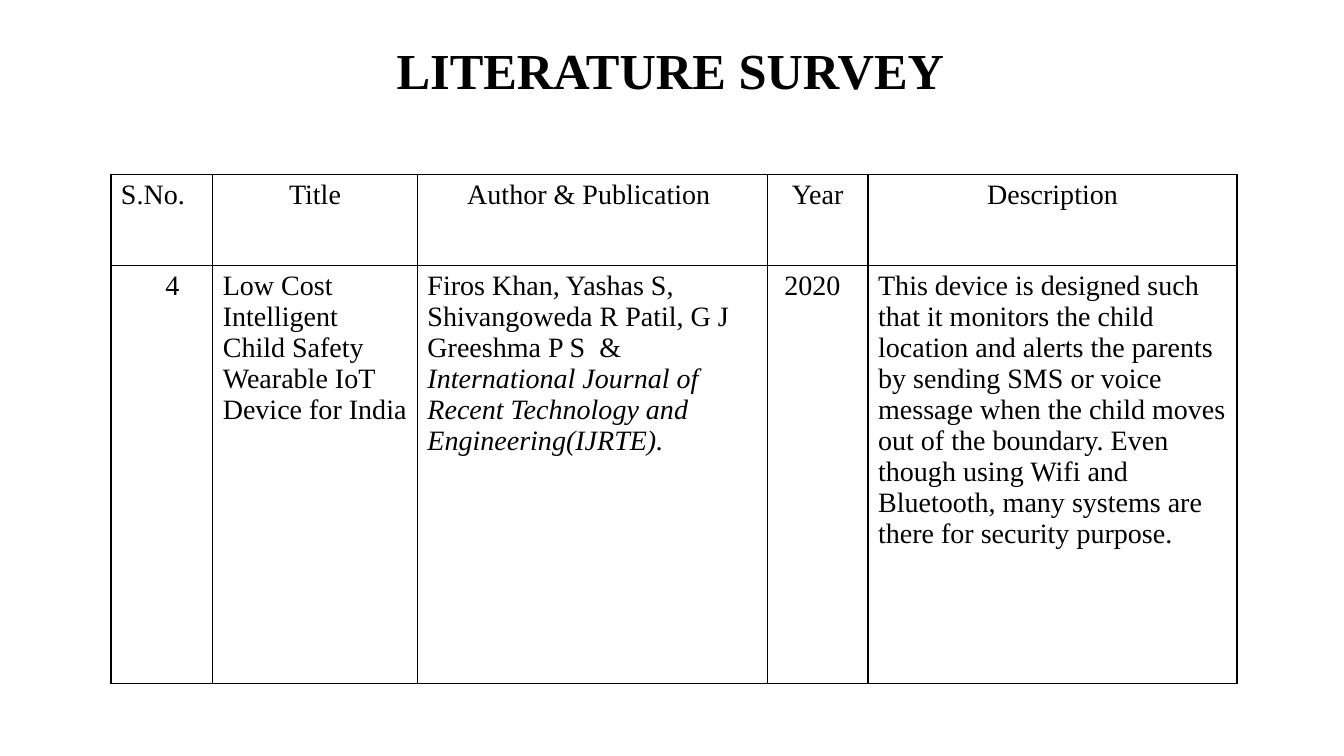
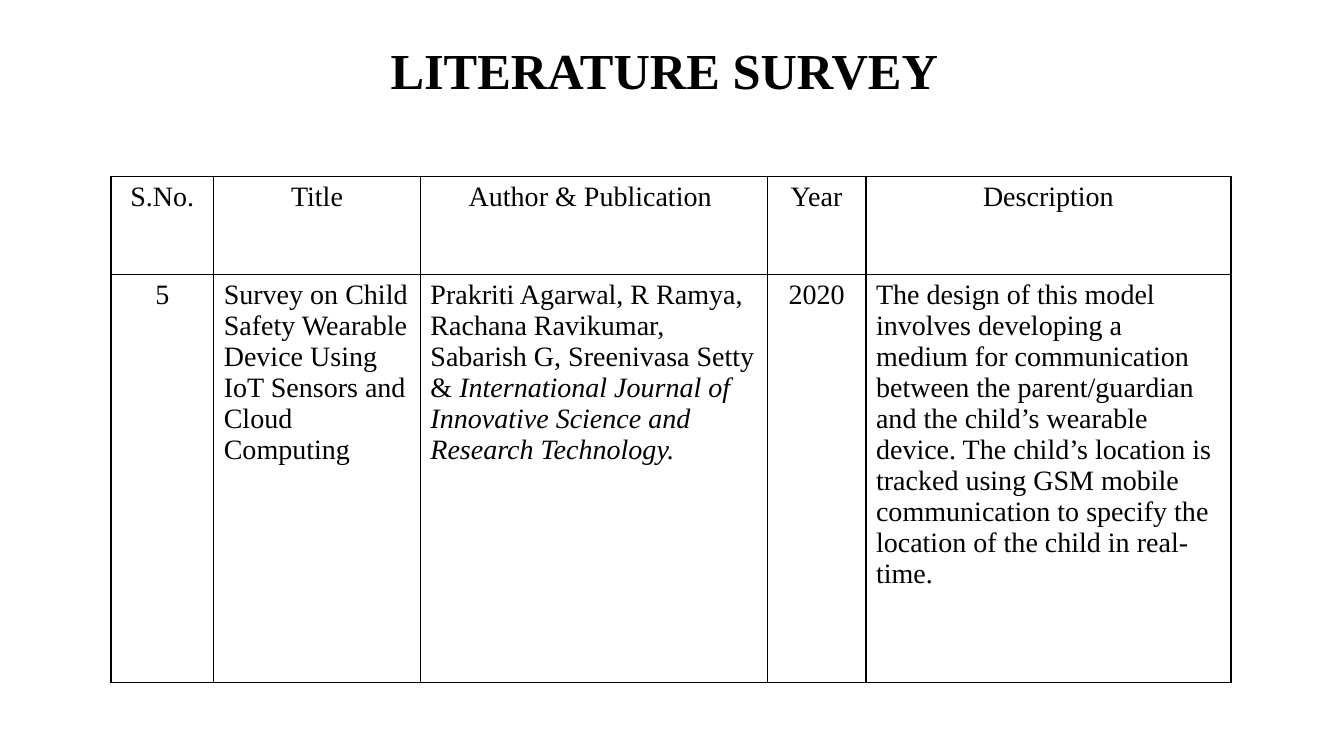
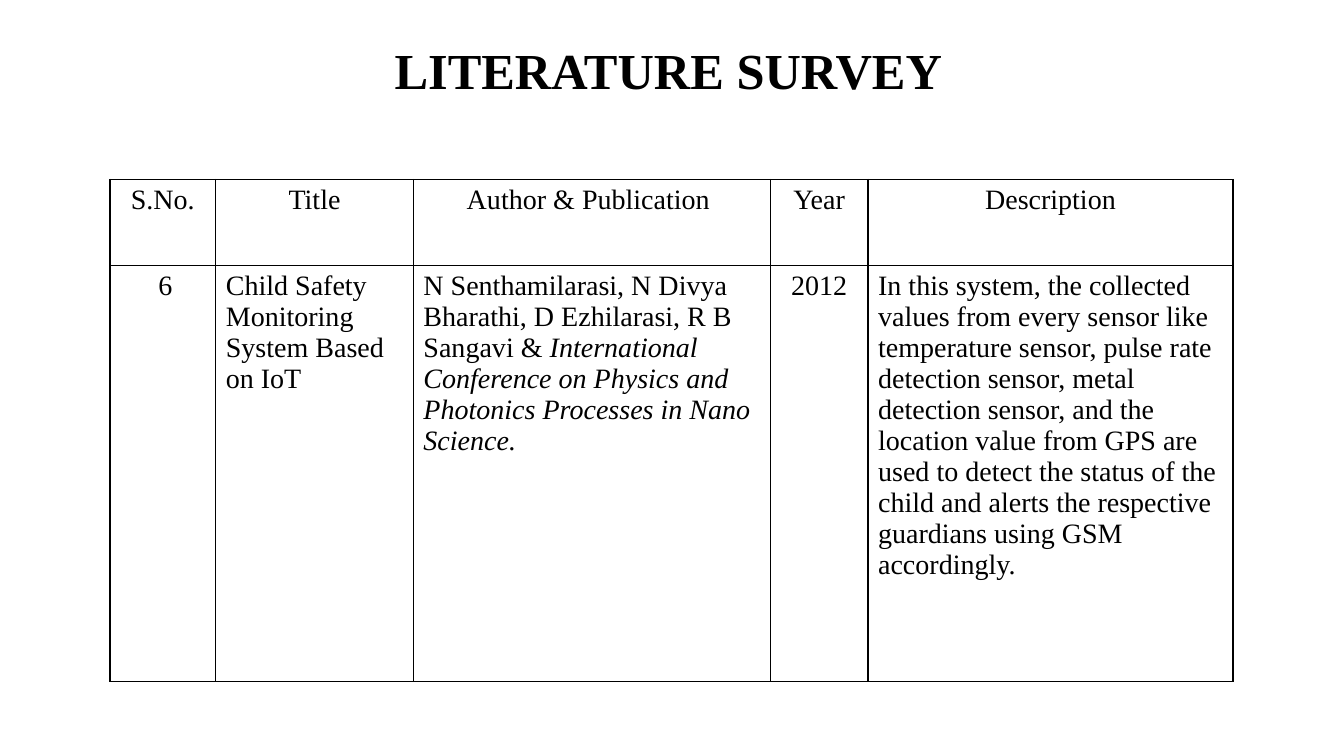
import pptx
import pptx.util
import pptx.dml.color
import pptx.enum.text
import pptx.oxml
import pptx.oxml.ns

Inches, Pt = pptx.util.Inches, pptx.util.Pt
ALIGN = pptx.enum.text.PP_ALIGN
FONT = "Times New Roman"
COLORS = {"ink": "000000", "paper": "FFFFFF"}
HEADINGS = ["S.No.", "Title", "Author & Publication ", "Year", "Description"]
CENTERED_COLUMNS = (0, 3)  # number and year

# "insets" holds left cell margins of the entry row; "left" lists (row, column)
# cells that are left-aligned against the rule.
surveys = [
    {
        "title_left": 0.9, "table_at": (1.1, 1.73),
        "widths": [1.01, 2.03, 3.47, 1, 3.66], "heights": [0.9, 4.15],
        "insets": {0: 0.31, 3: 0.17}, "left": [(0, 0), (1, 3)],
        "entry": [
            "4",
            "Low Cost Intelligent Child Safety Wearable IoT Device for India",
            "Firos Khan, Yashas S, Shivangoweda R Patil, G J Greeshma P S  & ",
            "2020",
            "This device is designed such that it monitors the child location and "
            "alerts the parents by sending SMS or voice message when the child moves "
            "out of the boundary. Even though using Wifi and Bluetooth, many systems "
            "are there for security purpose.",
        ],
        "journal": "International Journal of Recent Technology and Engineering(IJRTE).",
    },
    {
        "title_left": 0.84, "table_at": (1.1, 1.75),
        "widths": [1.02, 2.05, 3.44, 0.98, 3.62], "heights": [0.97, 4.05],
        "insets": {}, "left": [],
        "entry": [
            "5",
            "Survey on Child Safety Wearable Device Using IoT Sensors and Cloud Computing",
            "Prakriti Agarwal, R Ramya, Rachana Ravikumar, Sabarish G, Sreenivasa Setty & ",
            "2020",
            "The design of this model involves developing a medium for communication "
            "between the parent/guardian and the child’s wearable device. The child’s "
            "location is tracked using GSM mobile communication to specify the location "
            "of the child in real-time.",
        ],
        "journal": "International Journal of Innovative Science and Research Technology.",
    },
    {
        "title_left": 0.88, "table_at": (1.09, 1.78),
        "widths": [1.05, 1.96, 3.54, 0.97, 3.62], "heights": [0.85, 4.13],
        "insets": {0: 0.15}, "left": [],
        "entry": [
            "6",
            "Child Safety Monitoring System Based on IoT",
            "N Senthamilarasi, N Divya Bharathi, D Ezhilarasi, R B Sangavi & ",
            "2012",
            "In this system, the collected values from every sensor like temperature "
            "sensor, pulse rate detection sensor, metal detection sensor, and the "
            "location value from GPS are used to detect the status of the child and "
            "alerts the respective guardians using GSM accordingly.",
        ],
        "journal": "International Conference on Physics and Photonics Processes in Nano Science.",
    },
]


def add_span(para, text, size, bold=False, italic=False):
    """Append one formatted run to a paragraph."""
    span = para.add_run()
    span.text = text
    span.font.name = FONT
    span.font.size = Pt(size)
    span.font.bold = bold
    span.font.italic = italic
    span.font.color.rgb = pptx.dml.color.RGBColor.from_string(COLORS["ink"])


def style_cell(cell):
    """Give a cell thin borders on all sides and no fill."""
    props = cell._tc.get_or_add_tcPr()
    for side in ("lnL", "lnR", "lnT", "lnB"):
        props.append(pptx.oxml.parse_xml(
            f'<a:{side} {pptx.oxml.ns.nsdecls("a")} w="{Pt(1)}"><a:solidFill>'
            f'<a:srgbClr val="{COLORS["ink"]}"/></a:solidFill></a:{side}>'))
    cell.fill.background()


deck = pptx.Presentation()
deck.slide_width, deck.slide_height = Inches(13.33), Inches(7.5)
title_only = deck.slide_layouts[5]
backdrop = deck.slide_master.background.fill
backdrop.solid()
backdrop.fore_color.rgb = pptx.dml.color.RGBColor.from_string(COLORS["paper"])

for survey in surveys:
    page = deck.slides.add_slide(title_only)
    title = page.shapes.title
    title.left, title.top = Inches(survey["title_left"]), Inches(0)
    title.width, title.height = Inches(11.5), Inches(1.45)
    title.text_frame.vertical_anchor = pptx.enum.text.MSO_ANCHOR.MIDDLE
    para = title.text_frame.paragraphs[0]
    para.alignment = ALIGN.CENTER
    para.line_spacing = 0.9
    add_span(para, "LITERATURE SURVEY", 36, bold=True)

    left, top = survey["table_at"]
    widths, heights = survey["widths"], survey["heights"]
    table = page.shapes.add_table(
        len(heights), len(widths), Inches(left), Inches(top),
        Inches(sum(widths)), Inches(sum(heights))).table
    table.first_row = table.horz_banding = False
    for column, width in zip(table.columns, widths):
        column.width = Inches(width)
    for row, height in zip(table.rows, heights):
        row.height = Inches(height)

    for r, texts in enumerate([HEADINGS, survey["entry"]]):
        for c, text in enumerate(texts):
            cell = table.cell(r, c)
            style_cell(cell)
            para = cell.text_frame.paragraphs[0]
            centered = (r == 0 or c in CENTERED_COLUMNS) and (r, c) not in survey["left"]
            para.alignment = ALIGN.CENTER if centered else ALIGN.LEFT
            add_span(para, text, 20)
    for c, inset in survey["insets"].items():
        table.cell(1, c).margin_left = Inches(inset)
    add_span(table.cell(1, 2).text_frame.paragraphs[0], survey["journal"], 20, italic=True)

deck.save("out.pptx")
